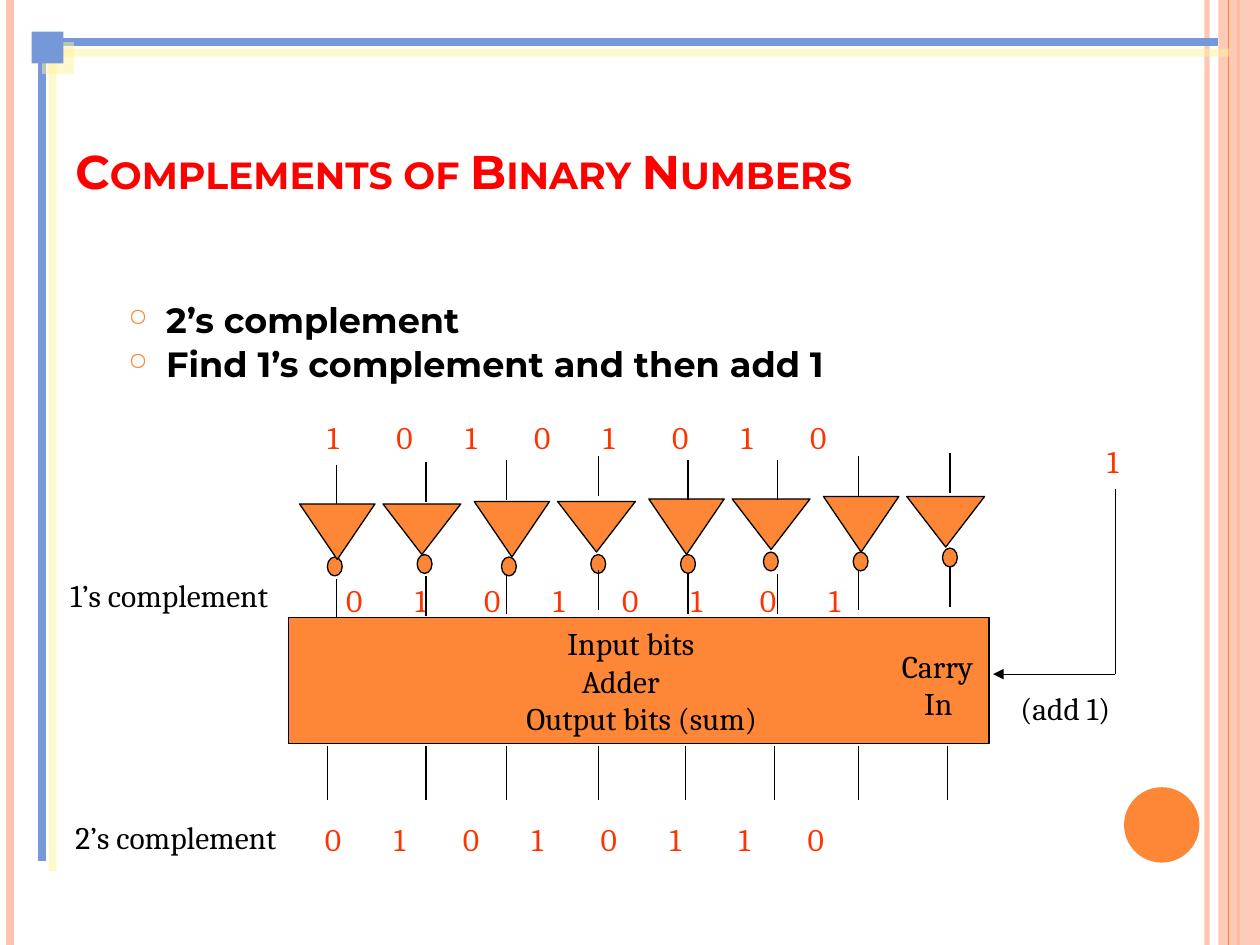
from lxml import etree
from pptx import Presentation
from pptx.dml.color import RGBColor
from pptx.enum.shapes import MSO_CONNECTOR, MSO_SHAPE
from pptx.enum.text import MSO_ANCHOR
from pptx.oxml.ns import qn
from pptx.util import Cm, Pt

ORANGE = RGBColor(0xFE, 0x86, 0x37)
PEACH = RGBColor(0xFE, 0xC3, 0xAE)
BLUE = RGBColor(0x75, 0x98, 0xD9)
CREAM = RGBColor(0xFF, 0xF3, 0x9D)
RED = RGBColor(0xFF, 0x00, 0x00)
BIT_RED = RGBColor(0xFF, 0x33, 0x00)
BLACK = RGBColor(0x00, 0x00, 0x00)

BIT_PITCH = 1.39
# Horizontal places of the eight bits, from the left edge of the adder
INPUT_WIRES = [0.96, 2.77, 4.39, 6.25, 8.05, 9.85, 11.48, 13.33]
OUTPUT_WIRES = [0.78, 2.77, 4.39, 6.25, 8.0, 9.8, 11.48, 13.28]
BUBBLES = [0.78, 2.59, 4.29, 6.09, 7.9, 9.57, 11.38, 13.18]
# Vertical places, from the top of the inverter row
WIRE_TOPS = [0.23, 0.18, 0.13, 0.05, 0.13, 0.13, 0.05, 0]
BUBBLE_TOPS = [2.09, 2.04, 2.09, 2.04, 2.04, 1.99, 1.99, 1.91]


def add_xml(parent, tag, **attributes):
    return etree.SubElement(parent, qn(tag), **attributes)


def set_alpha(owner, percent):
    color = next(owner.iter(qn("a:srgbClr")))
    add_xml(color, "a:alpha", val=str(percent * 1000))


def cast_shadow(effects):
    shadow = add_xml(effects, "a:outerShdw", blurRad="0", dist=str(Pt(8.5)),
                     dir="2700000", algn="ctr", rotWithShape="0")
    add_xml(shadow, "a:srgbClr", val=str(CREAM))
    set_alpha(shadow, 50)


def add_line(shapes, x1, y1, x2, y2, color=BLACK, width=0.75):
    line = shapes.add_connector(MSO_CONNECTOR.STRAIGHT, Cm(x1), Cm(y1), Cm(x2), Cm(y2))
    line.line.color.rgb = color
    line.line.width = Pt(width)
    add_xml(line._element.spPr, "a:effectLst")
    return line


def add_solid(shapes, kind, x, y, width, height, fill=ORANGE, outline=None):
    solid = shapes.add_shape(kind, Cm(x), Cm(y), Cm(width), Cm(height))
    solid.shadow.inherit = False
    solid.fill.solid()
    solid.fill.fore_color.rgb = fill
    if outline is None:
        solid.line.fill.background()
    else:
        solid.line.color.rgb = outline
        solid.line.width = Pt(0.75)
    return solid


def add_text(shapes, x, y, width, height, lines, color=BLACK, size=18,
             name="Cambria", bold=False, prepare=None):
    frame = shapes.add_textbox(Cm(x), Cm(y), Cm(width), Cm(height)).text_frame
    frame.word_wrap = True
    frame.text = "\n".join(lines)
    for index, paragraph in enumerate(frame.paragraphs):
        if prepare:
            prepare(paragraph, index)
        font = paragraph.font
        font.size, font.name, font.bold = Pt(size), name, bold
        font.color.rgb = color
    return frame


def indent_by(*margins):
    def prepare(paragraph, index):
        paragraph._p.get_or_add_pPr().set("marL", str(Cm(margins[index])))
    return prepare


def add_bullet(paragraph, index):
    paragraph.line_spacing = 0.8
    if index:
        paragraph.space_before = Pt(6)
    properties = paragraph._p.get_or_add_pPr()
    properties.set("marL", str(Cm(0.76)))
    properties.set("indent", str(-Cm(0.76)))
    add_xml(add_xml(properties, "a:buClr"), "a:srgbClr", val=str(ORANGE))
    add_xml(properties, "a:buSzPct", val="70000")
    add_xml(properties, "a:buChar", char="○")


def add_bit_tabs(paragraph, index):
    tabs = add_xml(paragraph._p.get_or_add_pPr(), "a:tabLst")
    for bit in range(1, 8):
        add_xml(tabs, "a:tab", pos=str(Cm(BIT_PITCH * bit)), algn="l")


def add_bits(shapes, x, y, bits):
    add_text(shapes, x, y, 14.17, 1.02, ["\t".join(bits)], BIT_RED, prepare=add_bit_tabs)


def add_margins(shapes, width, height):
    """Stripes at both slide edges and the round badge."""
    for x, color, weight in ((width - 1.07, PEACH, 3), (0.2, PEACH, 4.5),
                             (width - 0.43, ORANGE, 1.5)):
        stripe = add_line(shapes, x, 0, x, height, color, weight)
        if weight == 3:
            set_alpha(stripe._element, 93)
    band = add_solid(shapes, MSO_SHAPE.RECTANGLE, width - 0.84, 0, 0.84, height, PEACH)
    set_alpha(band._element.spPr, 87)
    add_line(shapes, width - 0.64, 0, width - 0.64, height, ORANGE)
    add_solid(shapes, MSO_SHAPE.OVAL, width - 2.74, height - 3.18, 1.52, 1.52)


def add_corner_frame(shapes, x, y, width, height):
    """Two shadowed rules that meet in a square."""
    parts = shapes.add_group_shape().shapes
    corner_x, corner_y = x + 0.21, y + 0.21
    for end in ((x + width, corner_y), (corner_x, y + height)):
        add_line(parts, corner_x, corner_y, *end, BLUE, 4.5)
    add_solid(parts, MSO_SHAPE.RECTANGLE, x, y, 0.64, 0.64, BLUE)
    for part in parts:
        cast_shadow(part._element.spPr.find(qn("a:effectLst")))


def add_heading(shapes, x, y, width, height):
    heading = add_text(shapes, x, y, width, height, ["Complements of Binary Numbers"],
                       RED, 27, "Montserrat", True)
    heading.vertical_anchor = MSO_ANCHOR.BOTTOM
    heading.paragraphs[0]._p.pPr.find(qn("a:defRPr")).set("cap", "small")


def add_points(shapes, x, y, width, height):
    add_text(shapes, x, y, width, height,
             ["2’s complement", "Find 1’s complement and then add 1"],
             BLACK, 20, "Montserrat", True, add_bullet)


def add_inverters(shapes, x, y):
    """Eight inverters with the wires above and below them."""
    parts = shapes.add_group_shape().shapes
    for bit in range(8):
        pair, odd = divmod(bit, 2)
        add_solid(parts, MSO_SHAPE.OVAL, x + BUBBLES[bit], y + BUBBLE_TOPS[bit],
                  0.3, 0.38, ORANGE, BLACK)
        gate_size = (1.57, 1.02) if odd else (1.52, 1.12)
        gate = add_solid(parts, MSO_SHAPE.ISOSCELES_TRIANGLE, x + 0.22 + 3.52 * pair + 1.68 * odd,
                         y + 1.02 - 0.05 * pair, *gate_size, ORANGE, BLACK)
        gate._element.spPr.xfrm.set("flipV", "1")
        wire = x + INPUT_WIRES[bit]
        for top in (y + WIRE_TOPS[bit], y + WIRE_TOPS[bit] + 2.3):
            add_line(parts, wire, top, wire, top + 0.8)


def add_adder(shapes, x, y, width, height):
    """Adder block, its captions and its output wires."""
    add_solid(shapes, MSO_SHAPE.RECTANGLE, x, y, width, height, ORANGE, BLACK)
    add_text(shapes, x + 4.54, y, 8, height, ["Input bits", "Adder", "Output bits (sum)"],
             prepare=indent_by(0.83, 1.12, 0))
    add_text(shapes, x + 12.11, y + 0.46, 2.39, 1.78, ["Carry", "In"],
             prepare=indent_by(0, 0.45))
    for wire in OUTPUT_WIRES:
        add_line(shapes, x + wire, y + height + 0.05, x + wire, y + height + 1.14)


def add_carry(shapes, x, y):
    """The added 1 and its path into the adder."""
    add_text(shapes, x + 1.75, y, 1.57, 1.02, ["1"], BIT_RED)
    add_line(shapes, x + 2.16, y + 1.07, x + 2.16, y + 4.8)
    arrow = add_line(shapes, x + 2.16, y + 4.8, x - 0.3, y + 4.8)
    add_xml(arrow.line._get_or_add_ln(), "a:tailEnd", type="triangle")
    add_text(shapes, x, y + 4.98, 3.07, 1.02, ["(add 1)"])


def main():
    deck = Presentation()
    deck.slide_width, deck.slide_height = Cm(25.4), Cm(19.05)
    shapes = deck.slides.add_slide(deck.slide_layouts[6]).shapes

    add_margins(shapes, 25.4, 19.05)
    add_heading(shapes, 1.27, 2.87, 22.86, 1.27)
    add_points(shapes, 2.34, 6.05, 21.79, 1.91)
    add_corner_frame(shapes, 0.64, 0.64, 23.92, 16.71)

    add_bits(shapes, 6.35, 8.31, "10101010")
    add_bits(shapes, 6.73, 11.58, "01010101")
    add_inverters(shapes, 5.82, 9.14)
    add_adder(shapes, 5.82, 12.45, 14.12, 2.54)
    add_carry(shapes, 20.32, 8.79)
    add_bits(shapes, 6.3, 16.41, "01010110")
    add_text(shapes, 1.27, 16.36, 5.08, 1.02, ["2’s complement"])
    add_text(shapes, 1.17, 11.48, 5.08, 1.02, ["1’s complement"])

    deck.save("out.pptx")


if __name__ == "__main__":
    main()
